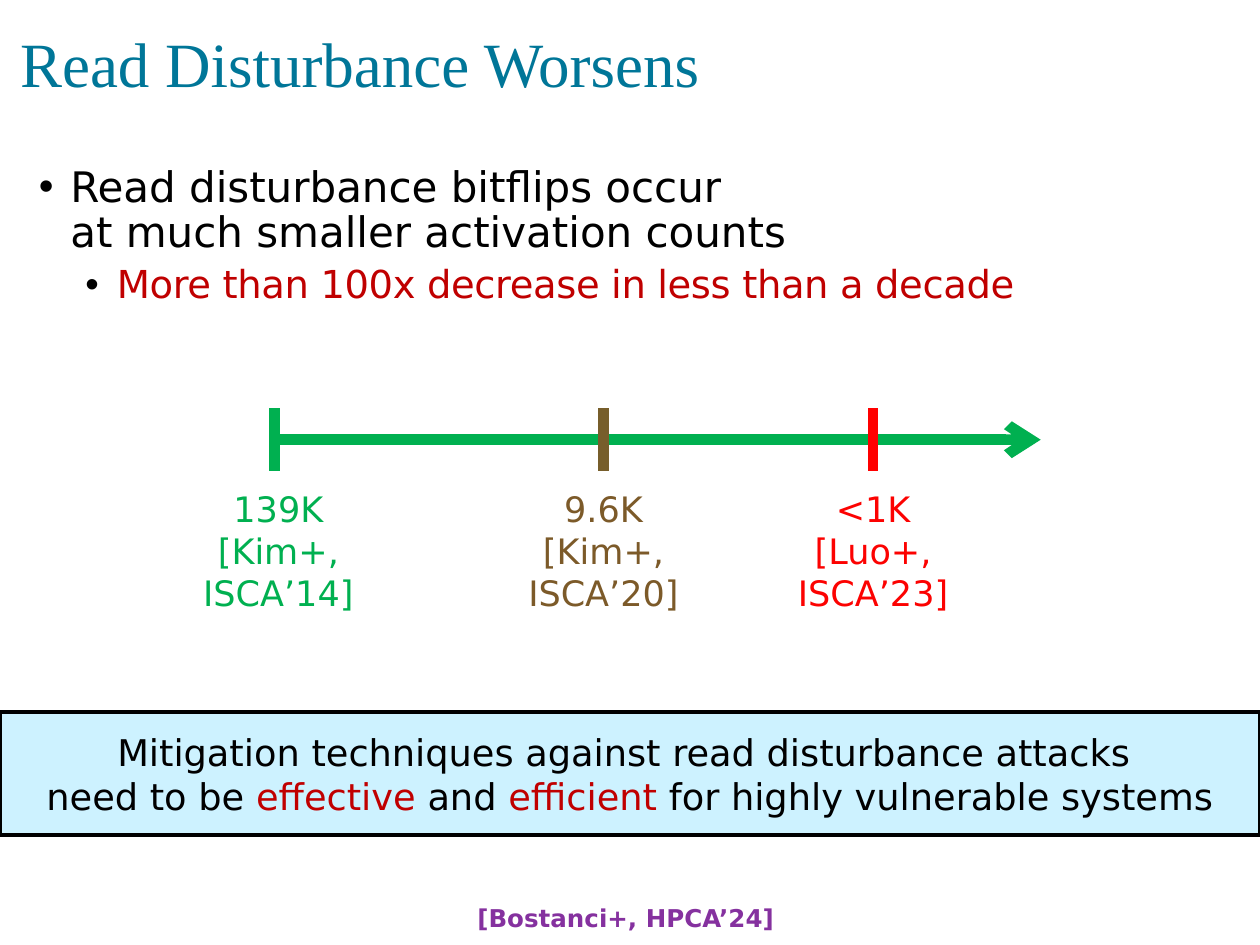
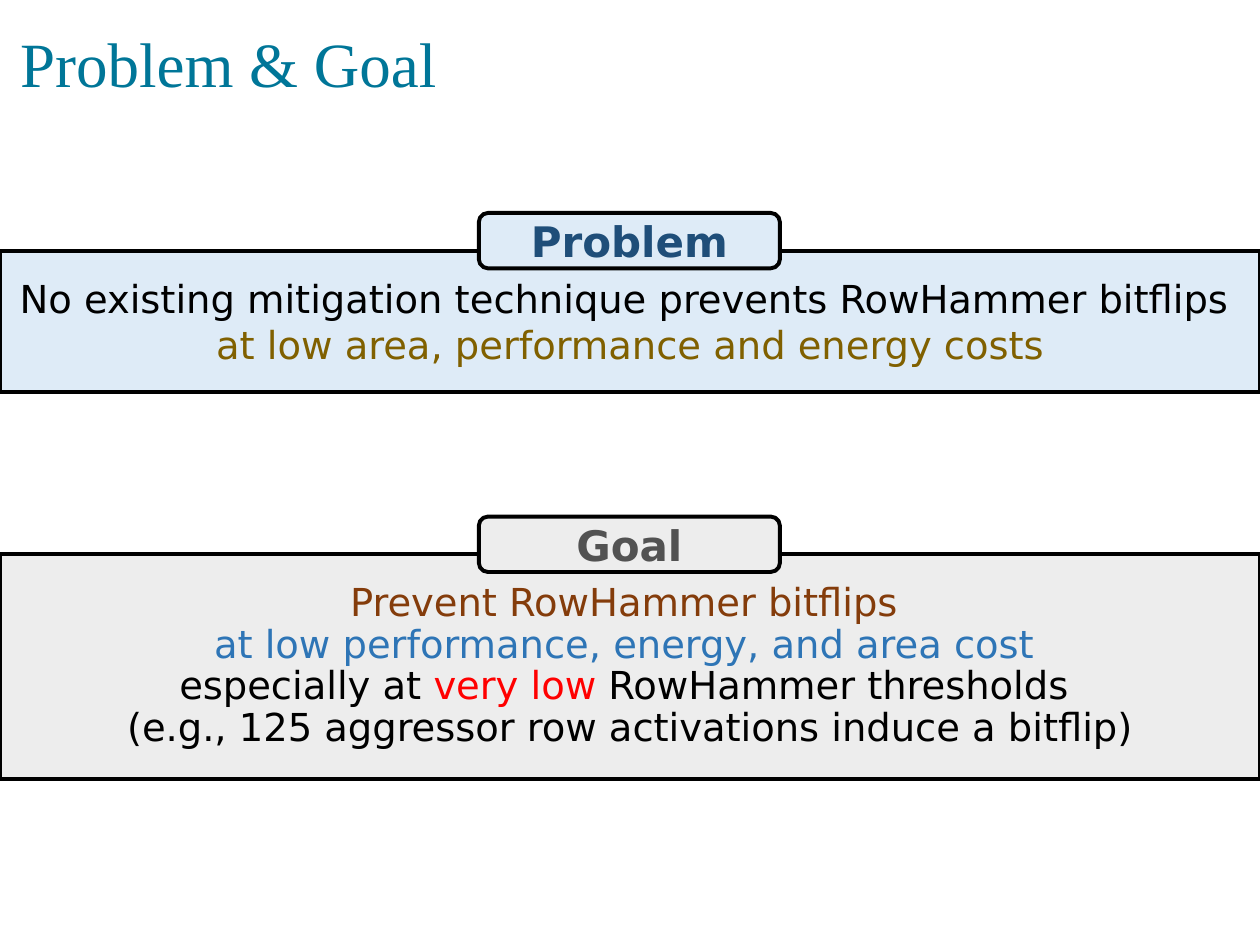
import pptx
import pptx.dml.color
import pptx.enum.shapes
import pptx.enum.text
import pptx.oxml
import pptx.oxml.ns
import pptx.util
from pptx.util import Inches

BODY_FONT = "DejaVu Sans"
TITLE_FONT = "Times New Roman"
BLACK = "000000"
TEAL = "007698"
GREEN = "00B050"
RED = "FF0000"
DARK_RED = "C00000"
PALE_BLUE = "DEEBF7"
PALE_GREY = "EDEDED"
CENTER = pptx.enum.text.PP_ALIGN.CENTER
LEFT = pptx.enum.text.PP_ALIGN.LEFT
MIDDLE = pptx.enum.text.MSO_ANCHOR.MIDDLE
SHAPES = pptx.enum.shapes.MSO_SHAPE


def colour(hex_string):
    return pptx.dml.color.RGBColor.from_string(hex_string)


def add_element(parent, tag, **attributes):
    element = pptx.oxml.parse_xml(f"<a:{tag} {pptx.oxml.ns.nsdecls('a')}/>")
    for name, value in attributes.items():
        element.set(name, str(value))
    parent.append(element)
    return element


def write(paragraph, *runs, size, color=BLACK, font=BODY_FONT, bold=False,
          align=CENTER, line_spacing=None, space_before=0, letter_spacing=None):
    paragraph.alignment = align
    paragraph.space_before = pptx.util.Pt(space_before)
    if line_spacing:
        paragraph.line_spacing = line_spacing
    for item in runs:
        text, run_color = (item, color) if isinstance(item, str) else item
        for index, line in enumerate(text.split("\n")):
            if index:
                paragraph.add_line_break()
            if not line:
                continue
            run = paragraph.add_run()
            run.text = line
            run.font.name = font
            run.font.size = pptx.util.Pt(size)
            run.font.bold = bold
            run.font.color.rgb = colour(run_color)
            if letter_spacing:
                run._r.get_or_add_rPr().set("spc", str(round(letter_spacing * 100)))


def add_indent(paragraph, left, hanging=0, bullet_color=None):
    properties = paragraph._p.get_or_add_pPr()
    properties.set("marL", str(Inches(left)))
    properties.set("indent", str(Inches(-hanging)))
    if bullet_color:
        bullet = add_element(properties, "buClr")
        add_element(bullet, "srgbClr", val=bullet_color)
        add_element(properties, "buFont", typeface="Arial")
        add_element(properties, "buChar", char="•")


def add_text_box(slide, left, top, width, height, wrap=True):
    box = slide.shapes.add_textbox(
        Inches(left), Inches(top), Inches(width), Inches(height))
    box.text_frame.word_wrap = wrap
    return box.text_frame


def add_box(slide, left, top, width, height, *runs, fill, kind=SHAPES.RECTANGLE, **text_format):
    shape = slide.shapes.add_shape(
        kind, Inches(left), Inches(top), Inches(width), Inches(height))
    shape.shadow.inherit = False
    shape.fill.solid()
    shape.fill.fore_color.rgb = colour(fill)
    shape.line.color.rgb = colour(BLACK)
    shape.line.width = pptx.util.Pt(2.25)
    shape.text_frame.word_wrap = True
    shape.text_frame.vertical_anchor = MIDDLE
    write(shape.text_frame.paragraphs[0], *runs, **text_format)


def add_line(slide, start_x, start_y, end_x, end_y, color, arrow=False):
    connector = slide.shapes.add_connector(
        pptx.enum.shapes.MSO_CONNECTOR.STRAIGHT,
        Inches(start_x), Inches(start_y), Inches(end_x), Inches(end_y))
    connector.line.color.rgb = colour(color)
    connector.line.width = pptx.util.Pt(6)
    if arrow:
        add_element(connector.line._get_or_add_ln(), "tailEnd", type="arrow")
    add_element(connector._element.spPr, "effectLst")


def add_titled_slide(presentation, title):
    slide = presentation.slides.add_slide(presentation.slide_layouts[5])
    placeholder = slide.shapes.title
    placeholder.left, placeholder.top = Inches(0), Inches(0)
    placeholder.width, placeholder.height = Inches(10), Inches(1.06)
    frame = placeholder.text_frame
    frame.auto_size = pptx.enum.text.MSO_AUTO_SIZE.NONE
    frame.vertical_anchor = MIDDLE
    add_indent(frame.paragraphs[0], 0.06)
    write(frame.paragraphs[0], title, size=36, color=TEAL, font=TITLE_FONT,
          align=LEFT, line_spacing=0.9)
    return slide


def add_bullets(slide, left, top, width, height):
    frame = add_text_box(slide, left, top, width, height)
    main_point = frame.paragraphs[0]
    add_indent(main_point, 0.38, 0.25, BLACK)
    write(main_point, "Read disturbance bitflips occur \nat much smaller activation counts",
          size=24, align=LEFT, line_spacing=0.9)
    detail = frame.add_paragraph()
    detail.level = 1
    add_indent(detail, 0.75, 0.25, BLACK)
    write(detail, "More than 100x decrease in less than a decade", size=22,
          color=DARK_RED, align=LEFT, line_spacing=0.9, space_before=5,
          letter_spacing=-0.2)


def add_timeline(slide, left, top, width, tick_height):
    axis_y = top + tick_height / 2
    add_line(slide, left, axis_y, left + width, axis_y, GREEN, arrow=True)
    label_width = 2.17
    milestones = [
        (0.01, 0.03, "139K", "[Kim+, ISCA’14]", GREEN, GREEN),
        (2.62, 0, "9.6K", "[Kim+, ISCA’20]", "775E2B", "7C5A29"),
        (4.76, 0, "<1K", "[Luo+, ISCA’23]", RED, "FC0201"),
    ]
    for offset, label_shift, count, citation, tick_color, text_color in milestones:
        tick_x = left + offset
        add_line(slide, tick_x, top, tick_x, top + tick_height, tick_color)
        frame = add_text_box(slide, tick_x + label_shift - label_width / 2,
                             top + 0.58, label_width, 1.11)
        write(frame.paragraphs[0], count, size=20, color=text_color)
        write(frame.add_paragraph(), citation, size=20, color=text_color)


def add_labelled_panel(slide, top, height, label, label_color, fill, *runs,
                       label_rise=0.3, **text_format):
    add_box(slide, 0, top, 10, height, *runs, fill=fill, size=22, **text_format)
    add_box(slide, 3.8, top - label_rise, 2.39, 0.44, label, fill=fill,
            kind=SHAPES.ROUNDED_RECTANGLE, size=24, color=label_color, bold=True)


def build_disturbance_slide(presentation):
    slide = add_titled_slide(presentation, "Read Disturbance Worsens")
    add_bullets(slide, 0.08, 1.27, 9.83, 1.3)
    add_timeline(slide, 2.17, 3.24, 6.09, 0.5)
    add_box(slide, 0, 5.65, 10, 0.98,
            "Mitigation techniques against read disturbance attacks \nneed to be ",
            ("effective", DARK_RED), " and ", ("efficient", DARK_RED),
            " for highly vulnerable systems", fill="CDF2FF", size=21)
    citation = add_text_box(slide, 3.69, 7.12, 2.61, 0.34, wrap=False)
    write(citation.paragraphs[0], "[Bostanci+, HPCA’24]", size=14,
          color="85319F", bold=True, align=LEFT)


def build_goal_slide(presentation):
    slide = add_titled_slide(presentation, "Problem & Goal")
    add_labelled_panel(
        slide, 1.99, 1.12, "Problem", "1F4E79", PALE_BLUE,
        "No existing mitigation technique prevents RowHammer bitflips \n",
        ("at low area, performance and energy costs", "806000"))
    add_labelled_panel(
        slide, 4.4, 1.78, "Goal", "525252", PALE_GREY,
        ("Prevent RowHammer bitflips \n", "843C0B"),
        ("at low performance, energy, and area cost \n", "2E75B6"),
        "especially at ", ("very low ", RED),
        "RowHammer thresholds \n(e.g., 125 aggressor row activations induce a bitflip)",
        line_spacing=0.9)


def main():
    presentation = pptx.Presentation()
    presentation.slide_width = Inches(10)
    presentation.slide_height = Inches(7.5)
    build_disturbance_slide(presentation)
    build_goal_slide(presentation)
    presentation.save("out.pptx")


if __name__ == "__main__":
    main()
